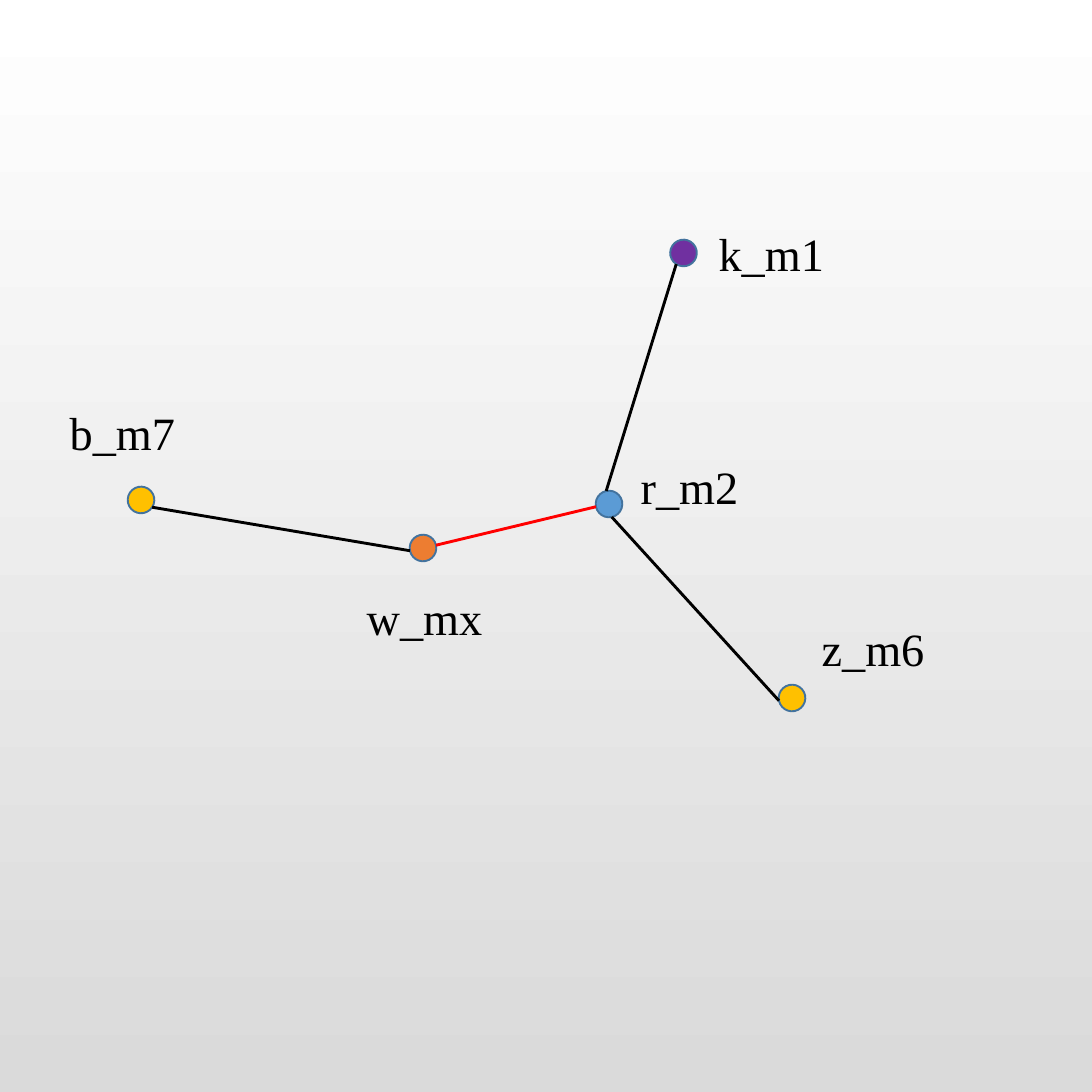
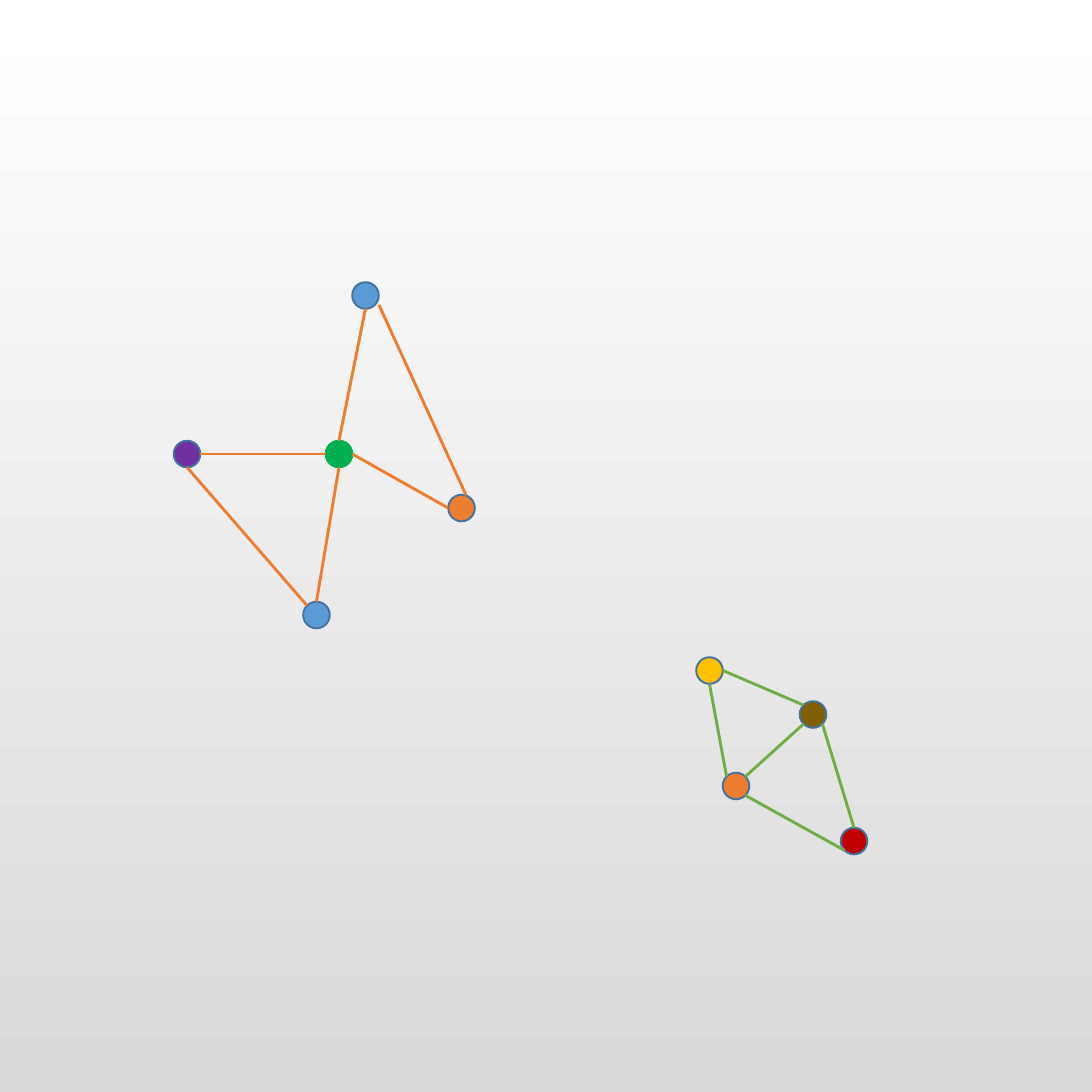
from dataclasses import dataclass
from math import cos, radians, sin

from lxml import etree
from pptx import Presentation
from pptx.dml.color import RGBColor
from pptx.enum import shapes, text
from pptx.oxml import ns
from pptx.util import Pt

SCALE = 914400 / 138.8
SIDE = 1092
BALL = 26.6
LABEL_HIGH = 69


@dataclass(frozen=True)
class Theme:
    """Colours, font and sizes shared by both slides."""
    top: str = "FFFFFF"
    base: str = "DADADA"
    rim: str = "43739E"
    black: str = "000000"
    red: str = "FF0000"
    dark: str = "C00000"
    blue: str = "5B9BD5"
    purple: str = "7030A0"
    gold: str = "FFC000"
    orange: str = "ED7D31"
    brown: str = "806000"
    green: str = "00B050"
    leaf: str = "70AD47"
    font: str = "Times New Roman"
    size: float = 24
    edge: float = 1.5
    ring: float = 1


T = Theme()
# Directions of the eight points on a ball, in degrees clockwise from east.
SITES = {name: 45 * i for i, name in
         enumerate(("E", "SE", "S", "SW", "W", "NW", "N", "NE"))}


def emu(pixels):
    """Turn pixels into EMU."""
    return round(pixels * SCALE)


def rgb(code):
    """Turn a hex code into a colour."""
    return RGBColor.from_string(code)


def paint(master):
    """Give the master its vertical grey gradient."""
    fill = master.background.fill
    fill.gradient()
    fill.gradient_angle = 270
    for stop, code, place in zip(fill.gradient_stops, (T.top, T.base), (0, 1)):
        stop.color.rgb = rgb(code)
        stop.position = place


def ball(parts, center, code, turn):
    """Draw a node around its center; the green hub has a rim of its own."""
    left, top = (emu(c - BALL / 2) for c in center)
    node = parts.add_shape(shapes.MSO_SHAPE.OVAL, left, top, emu(BALL), emu(BALL))
    node.rotation = turn
    node.shadow.inherit = False
    node.fill.solid()
    node.fill.fore_color.rgb = rgb(code)
    node.line.color.rgb = rgb(code if code == T.green else T.rim)
    node.line.width = Pt(T.ring)


def edge(parts, start, end, code):
    """Draw a straight line between two points."""
    line = parts.add_connector(shapes.MSO_CONNECTOR.STRAIGHT,
                               *map(emu, (*start, *end)))
    line.line.color.rgb = rgb(code)
    line.line.width = Pt(T.edge)
    etree.SubElement(line._element.spPr, ns.qn("a:effectLst"))


def label(parts, left, top, wide, words):
    """Write the name of a node."""
    frame = parts.add_textbox(*map(emu, (left, top, wide, LABEL_HIGH))).text_frame
    frame.word_wrap = True
    frame.auto_size = text.MSO_AUTO_SIZE.SHAPE_TO_FIT_TEXT
    run = frame.paragraphs[0].add_run()
    run.text = words
    run.font.name = T.font
    run.font.size = Pt(T.size)
    run.font.color.rgb = rgb(T.black)


def graph(parts, box, nodes, edges, turn=0):
    """Draw nodes and the edges joining their sites, relative to the box."""
    left, top = box
    spots = {name: (left + x, top + y) for name, (x, y, _) in nodes.items()}

    def site(name, side):
        """Find a point on the rim of a turned node."""
        angle = radians(SITES[side] + turn)
        x, y = spots[name]
        return x + BALL / 2 * cos(angle), y + BALL / 2 * sin(angle)

    for name, (_, _, code) in nodes.items():
        ball(parts, spots[name], code, turn)
    for first, out, last, into, code in edges:
        edge(parts, site(first, out), site(last, into), code)


def tree(parts, box):
    """Draw the tree with five named nodes."""
    nodes = {"r": (559, 294, T.blue), "k": (633.5, 43, T.purple),
             "z": (742, 488, T.gold), "w": (373, 338, T.orange),
             "b": (91, 290, T.gold)}
    edges = [("k", "SW", "r", "N", T.black), ("r", "S", "z", "W", T.black),
             ("w", "E", "r", "W", T.red), ("w", "W", "b", "SE", T.black)]
    graph(parts, box, nodes, edges, turn=-12)
    for x, y, wide, words in ((303, 372, 150, "w_mx"), (577, 241, 136, "r_m2"),
                              (758, 403, 155, "z_m6"), (655, 8, 154, "k_m1"),
                              (6, 187, 173, "b_m7")):
        label(parts, box[0] + x, box[1] + y, wide, words)


def kite(parts, box):
    """Draw the green cluster of four nodes."""
    nodes = {"gold": (19.5, 20.5, T.gold), "brown": (123, 64.5, T.brown),
             "orange": (46, 136, T.orange), "red": (164, 191, T.dark)}
    joins = [("gold", "S", "orange", "NW"), ("gold", "E", "brown", "NW"),
             ("orange", "SE", "red", "SW"), ("brown", "SE", "red", "N"),
             ("orange", "NE", "brown", "SW")]
    graph(parts, box, nodes, [(*join, T.leaf) for join in joins])


def fan(parts, box):
    """Draw the orange cluster of two triangles around a hub."""
    nodes = {"hub": (169, 174, T.green), "purple": (17, 174, T.purple),
             "high": (195.5, 15.5, T.blue), "low": (146.5, 335, T.blue),
             "orange": (291.5, 228, T.orange)}
    joins = [("purple", "E", "hub", "W"), ("high", "S", "hub", "N"),
             ("hub", "S", "low", "N"), ("hub", "E", "orange", "W"),
             ("purple", "S", "low", "NW")]
    graph(parts, box, nodes, [(*join, T.orange) for join in joins])
    left, top = box
    edge(parts, (left + 209, top + 25), (left + 296, top + 215), T.orange)


def build():
    """Build and save both slides."""
    deck = Presentation()
    deck.slide_width = deck.slide_height = emu(SIDE)
    paint(deck.slide_master)
    blank = deck.slide_layouts[6]
    first, second = (deck.slides.add_slide(blank).shapes for _ in range(2))
    tree(first.add_group_shape().shapes, (50, 210))
    kite(second, (690, 650))
    fan(second, (170, 280))
    deck.save("out.pptx")


build()
